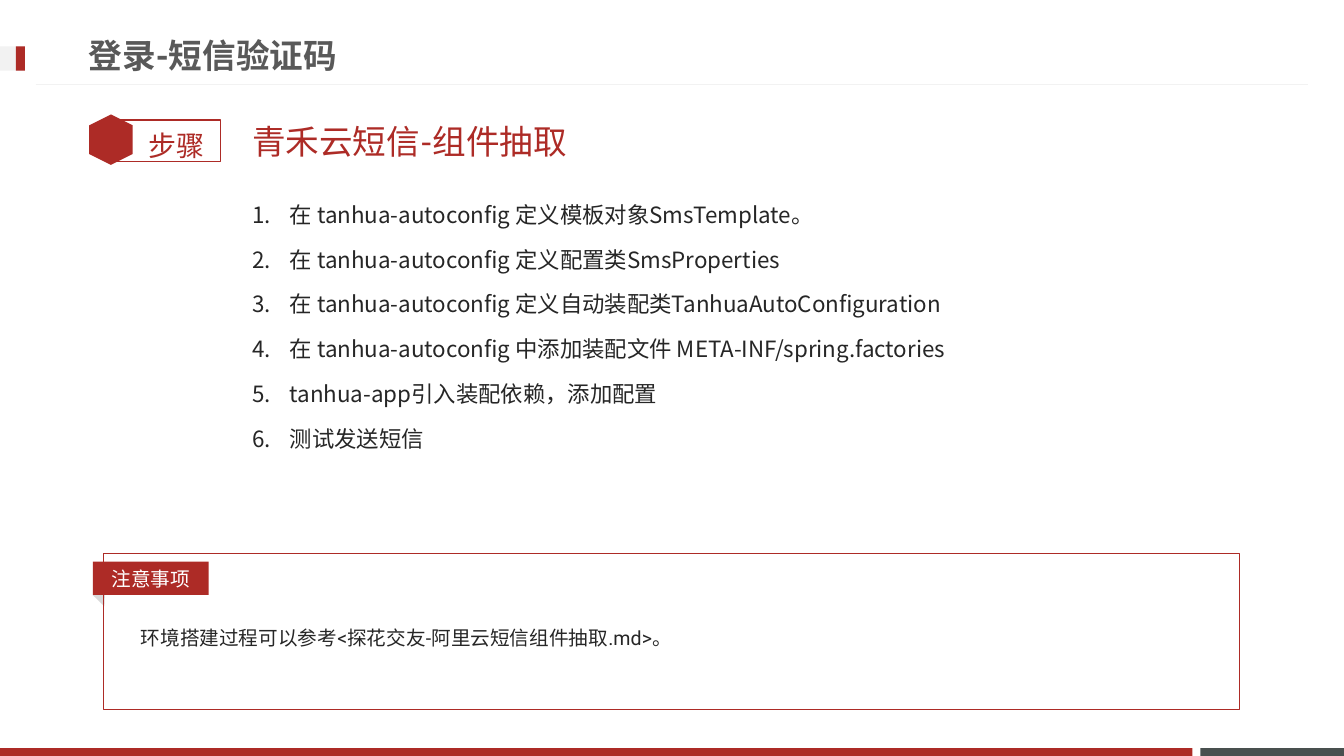
from lxml.etree import SubElement
from pptx import Presentation
from pptx.dml.color import RGBColor
from pptx.enum.lang import MSO_LANGUAGE_ID
from pptx.enum.shapes import MSO_CONNECTOR, MSO_SHAPE
from pptx.enum.text import MSO_ANCHOR, MSO_AUTO_SIZE, PP_ALIGN
from pptx.oxml.ns import qn
from pptx.util import Cm, Pt

RED = "AD2B26"
INK = "262626"
PALE = "F2F2F2"
STEPS = [
    "在 tanhua-autoconfig 定义模板对象SmsTemplate。",
    "在 tanhua-autoconfig 定义配置类SmsProperties",
    "在 tanhua-autoconfig 定义自动装配类TanhuaAutoConfiguration",
    "在 tanhua-autoconfig 中添加装配文件 META-INF/spring.factories",
    "tanhua-app引入装配依赖，添加配置",
    "测试发送短信",
]


def color(value):
    return RGBColor.from_string(value)


class StepPage:
    font = "Roboto"

    def __init__(self, deck):
        self.page = deck.slides.add_slide(deck.slide_layouts[3])

    def fill_text(self, box, lines, size, fill, font=None, bold=False, spacing=1.0,
                  align=PP_ALIGN.LEFT, anchor=MSO_ANCHOR.TOP, numbered=False):
        frame = box.text_frame
        frame.text = "\n".join(lines)
        frame.word_wrap = True
        frame.auto_size = MSO_AUTO_SIZE.NONE
        frame.vertical_anchor = anchor
        for index, para in enumerate(frame.paragraphs):
            para.alignment = align
            para.line_spacing = spacing
            para.space_before = Pt(size * 0.2 if index else 0)
            self.bullet(para, numbered)
            for span in para.runs:
                span.font.name = font or self.font
                span.font.size = Pt(size)
                span.font.bold = bold
                span.font.color.rgb = color(fill)
                span.font.language_id = MSO_LANGUAGE_ID.SIMPLIFIED_CHINESE
                east_asian = SubElement(span._r.get_or_add_rPr(), qn("a:ea"))
                east_asian.set("typeface", font or self.font)

    def bullet(self, para, numbered):
        properties = para._p.get_or_add_pPr()
        indent = Cm(0.95) if numbered else 0
        properties.set("marL", str(indent))
        properties.set("indent", str(-indent))
        if numbered:
            SubElement(properties, qn("a:buFont")).set("typeface", "+mj-lt")
            SubElement(properties, qn("a:buAutoNum")).set("type", "arabicPeriod")
        else:
            SubElement(properties, qn("a:buNone"))

    def placeholder(self, index, place, lines, size, fill, **style):
        box = self.page.placeholders[index]
        box.left, box.top, box.width, box.height = map(Cm, place)
        self.fill_text(box, lines, size, fill, **style)

    def text(self, place, line, size, fill, **style):
        box = self.page.shapes.add_textbox(*map(Cm, place))
        self.fill_text(box, [line], size, fill, **style)

    def shape(self, kind, place, fill=None, line=None, width=0.75, rotation=0):
        box = self.page.shapes.add_shape(kind, *map(Cm, place))
        box.shadow.inherit = False
        box.rotation = rotation
        if fill:
            box.fill.solid()
            box.fill.fore_color.rgb = color(fill)
        else:
            box.fill.background()
        if line:
            box.line.color.rgb = color(line)
            box.line.width = Pt(width)
        else:
            box.line.fill.background()
        return box

    def rule(self, ends, fill):
        line = self.page.shapes.add_connector(MSO_CONNECTOR.STRAIGHT, *map(Cm, ends))
        line.line.color.rgb = color(fill)
        line.line.width = Pt(0.75)
        SubElement(line._element.spPr, qn("a:effectLst"))


def main():
    deck = Presentation()
    deck.slide_width, deck.slide_height = Cm(33.87), Cm(19.05)
    page = StepPage(deck)
    rectangle = MSO_SHAPE.RECTANGLE

    page.shape(rectangle, (30.25, 18.85, 3.62, 0.2), "49504F")
    page.shape(rectangle, (0, 18.85, 30.05, 0.2), RED)
    page.rule((0.9, 2.13, 32.97, 2.13), PALE)
    page.shape(rectangle, (0, 1.17, 0.63, 0.61), PALE)
    page.shape(rectangle, (0.4, 1.17, 0.23, 0.61), RED)

    page.shape(rectangle, (2.78, 3.02, 2.78, 1.05), line=RED, width=1)
    page.shape(MSO_SHAPE.HEXAGON, (2.16, 2.97, 1.27, 1.1), RED, rotation=90)
    page.text((3.5, 2.7, 2.16, 1.42), "步骤", 20, RED, spacing=1.5)

    page.placeholder(0, (1.98, 0.66, 24.36, 1.45), ["登录-短信验证码"], 24, "595959",
                     bold=True, anchor=MSO_ANCHOR.MIDDLE)
    page.placeholder(1, (6.1, 2.82, 25.6, 1.45), ["青禾云短信-组件抽取"], 24, RED,
                     font="Lato", anchor=MSO_ANCHOR.MIDDLE)
    page.placeholder(2, (6.1, 4.6, 25.6, 11.71), STEPS, 16, INK,
                     font="Noto Sans CJK JP", spacing=1.5, numbered=True)

    page.shape(MSO_SHAPE.ISOSCELES_TRIANGLE, (2.36, 14.94, 0.41, 0.23), "D9D9D9",
               rotation=44.2)
    page.text((3.3, 15.34, 18.8, 1.04), "环境搭建过程可以参考<探花交友-阿里云短信组件抽取.md>。",
              14, INK, spacing=1.5)
    page.shape(rectangle, (2.62, 13.94, 28.63, 3.94), line=RED)
    label = page.shape(rectangle, (2.34, 14.15, 2.92, 0.84), RED)
    page.fill_text(label, ["注意事项"], 14, "FFFFFF", align=PP_ALIGN.CENTER,
                   anchor=MSO_ANCHOR.MIDDLE)

    deck.save("out.pptx")


if __name__ == "__main__":
    main()
